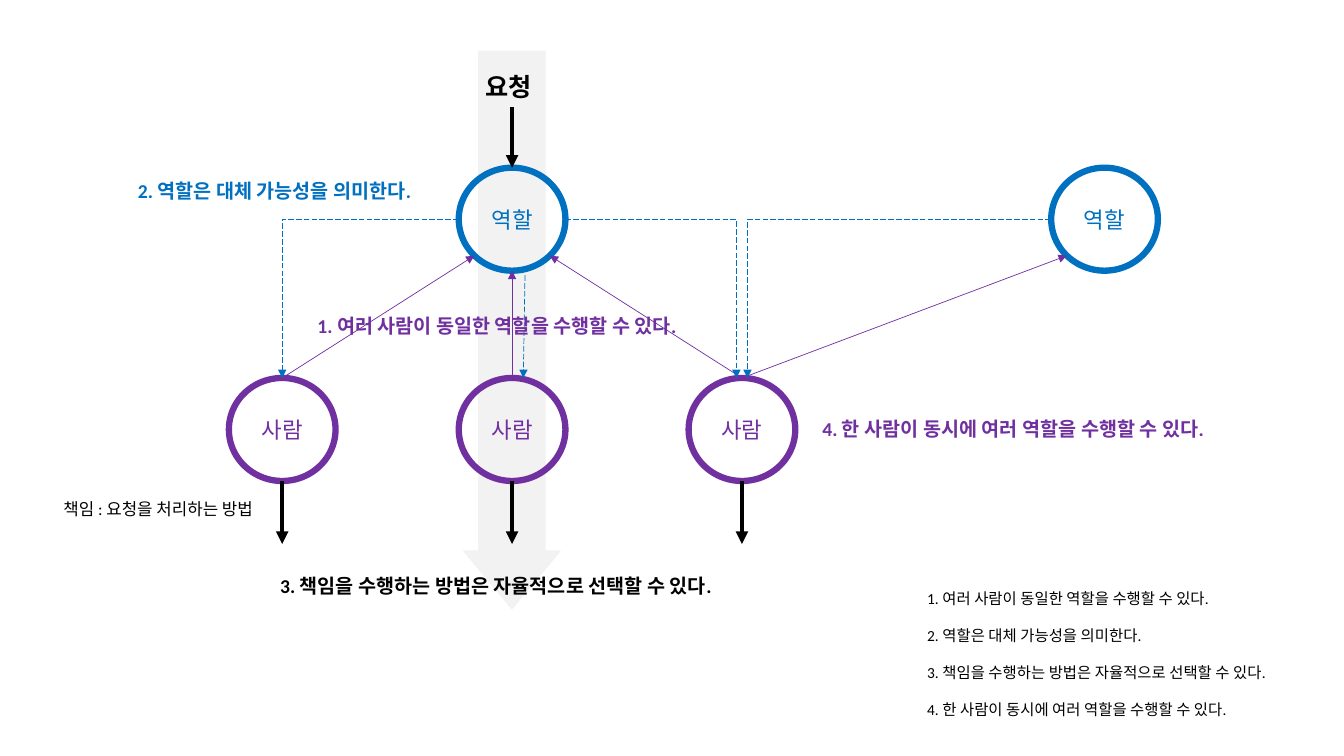
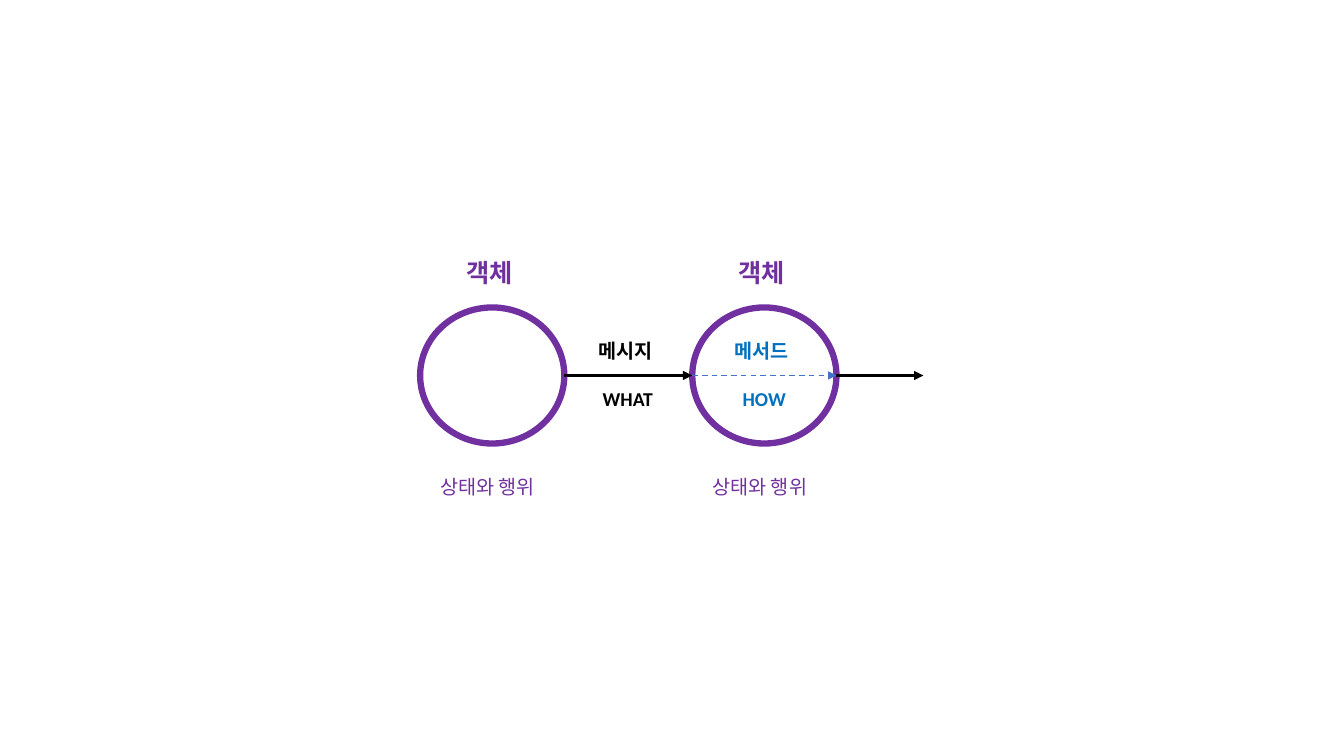
from math import sqrt

from pptx import Presentation
from pptx.dml.color import RGBColor
from pptx.enum.dml import MSO_LINE
from pptx.enum.shapes import MSO_CONNECTOR as CONNECTOR, MSO_SHAPE as SHAPE
from pptx.enum.text import MSO_ANCHOR, MSO_AUTO_SIZE, PP_ALIGN
from pptx.oxml.ns import qn
from pptx.util import Pt
from lxml import etree

BLUE, PURPLE, BLACK, GRAY, STEEL = "0070C0", "7030A0", "000000", "F2F2F2", "4472C4"
FONT = "Calibri"


def rgb(value):
    return RGBColor.from_string(value)


def add_arrow(slide, start, end, color, weight, dash=None, bent=False):
    kind = CONNECTOR.ELBOW if bent else CONNECTOR.STRAIGHT
    connector = slide.shapes.add_connector(kind, *[Pt(value) for value in (*start, *end)])
    connector.line.color.rgb = rgb(color)
    connector.line.width = Pt(weight)
    if dash:
        connector.line.dash_style = dash
    properties = connector._element.spPr
    if bent:  # a single corner: across, then down
        properties.find(qn("a:prstGeom")).set("prst", "bentConnector2")
    etree.SubElement(properties.find(qn("a:ln")), qn("a:tailEnd"), type="triangle")
    etree.SubElement(properties, qn("a:effectLst"))
    return connector


presentation = Presentation()
presentation.slide_width, presentation.slide_height = Pt(960), Pt(540)
blank = presentation.slide_layouts[6]
roles_slide = presentation.slides.add_slide(blank)
message_slide = presentation.slides.add_slide(blank)

# Request flow band
band = roles_slide.shapes.add_shape(SHAPE.DOWN_ARROW, Pt(331.4), Pt(36.7), Pt(68.6), Pt(398))
band.adjustments[0], band.adjustments[1] = 0.69, 0.6
band.fill.solid()
band.fill.fore_color.rgb = rgb(GRAY)
band.line.color.rgb = rgb(GRAY)
band.line.width = Pt(1)
band.shadow.inherit = False

# Circles: centre, size, label
WIDTH, HEIGHT = 76.2, 73.6
PERSON_X = [201.6 + 164.2 * column for column in range(3)]
ROLE_X = [PERSON_X[1], 789]
ROLE_Y, PERSON_Y = 156.6, 306.8
OBJECT_X, OBJECT_Y = [351.6, 546], 268.2
OBJECT_WIDTH, OBJECT_HEIGHT = 103, 97.2

circles = [(roles_slide, x, ROLE_Y, WIDTH, HEIGHT, BLUE, "역할") for x in ROLE_X]
circles += [(roles_slide, x, PERSON_Y, WIDTH, HEIGHT, PURPLE, "사람") for x in PERSON_X]
circles += [(message_slide, x, OBJECT_Y, OBJECT_WIDTH, OBJECT_HEIGHT, PURPLE, "") for x in OBJECT_X]
for slide, x, y, width, height, color, label in circles:
    circle = slide.shapes.add_shape(
        SHAPE.OVAL, Pt(x - width / 2), Pt(y - height / 2), Pt(width), Pt(height))
    circle.fill.background()
    circle.line.color.rgb = rgb(color)
    circle.line.width = Pt(4.5)
    circle.shadow.inherit = False
    if label:
        circle.text_frame.text = label
        circle.text_frame.vertical_anchor = MSO_ANCHOR.MIDDLE
        paragraph = circle.text_frame.paragraphs[0]
        paragraph.alignment = PP_ALIGN.CENTER
        paragraph.font.name, paragraph.font.size = FONT, Pt(16)
        paragraph.font.color.rgb = rgb(color)

# People take on roles
role_top, person_top = ROLE_Y - HEIGHT / 2, PERSON_Y - HEIGHT / 2
role_bottom, person_bottom = ROLE_Y + HEIGHT / 2, PERSON_Y + HEIGHT / 2
diagonal_x, diagonal_y = WIDTH / 2 / sqrt(2), HEIGHT / 2 / sqrt(2)
for person_x, role_x, side in [(PERSON_X[0], ROLE_X[0], -1), (PERSON_X[2], ROLE_X[0], 1),
                               (PERSON_X[2], ROLE_X[1], -1)]:
    add_arrow(roles_slide, (person_x, person_top),
              (role_x + side * diagonal_x, ROLE_Y + diagonal_y), PURPLE, 0.5)
add_arrow(roles_slide, (PERSON_X[1], person_top), (ROLE_X[0], role_bottom), PURPLE, 0.5)

# Roles can be filled by different people
for role_x, side, target_x in [(ROLE_X[0], -1, PERSON_X[0]), (ROLE_X[0], 1, PERSON_X[2] - 4),
                               (ROLE_X[1], -1, PERSON_X[2] + 4)]:
    add_arrow(roles_slide, (role_x + side * WIDTH / 2, ROLE_Y), (target_x, person_top),
              BLUE, 0.5, MSO_LINE.LONG_DASH, bent=True)
add_arrow(roles_slide, (375, 196.6), (373.8, person_top), BLUE, 0.5, MSO_LINE.LONG_DASH)

# Request in, responsibilities out
add_arrow(roles_slide, (ROLE_X[0], 76.3), (ROLE_X[0], role_top), BLACK, 3)
for x in PERSON_X:
    add_arrow(roles_slide, (x, person_bottom), (x, 388.6), BLACK, 3)

# Messages between objects
first_right = OBJECT_X[0] + OBJECT_WIDTH / 2
second_left, second_right = [OBJECT_X[1] + side * OBJECT_WIDTH / 2 for side in (-1, 1)]
for start_x, end_x, color, weight, dash in [
        (first_right, second_left, BLACK, 2.25, None),
        (second_right, 659.6, BLACK, 2.25, None),
        (second_left, second_right, STEEL, 1, MSO_LINE.DASH)]:
    add_arrow(message_slide, (start_x, OBJECT_Y), (end_x, OBJECT_Y), color, weight, dash)

# Texts: slide, left, top, width, height, size, colour, bold, line spacing, lines
statements = [
    "1. 여러 사람이 동일한 역할을 수행할 수 있다.",
    "2. 역할은 대체 가능성을 의미한다.",
    "3. 책임을 수행하는 방법은 자율적으로 선택할 수 있다.",
    "4. 한 사람이 동시에 여러 역할을 수행할 수 있다.",
]
texts = [
    (roles_slide, 219.6, 221, 291.6, 24.2, 14, PURPLE, True, 1, statements[:1]),
    (roles_slide, 91.4, 124.3, 225.4, 24.2, 14, BLUE, True, 1, statements[1:2]),
    (roles_slide, 193, 406.1, 344.9, 24.2, 14, BLACK, True, 1, statements[2:3]),
    (roles_slide, 580.3, 294.5, 308.9, 24.2, 14, PURPLE, True, 1, statements[3:]),
    (roles_slide, 655.2, 404, 274.3, 110.2, 11, BLACK, False, 2, statements),
    (roles_slide, 339.8, 47.5, 51.1, 29, 18, BLACK, True, 1, ["요청"]),
    (roles_slide, 38.2, 352.8, 162, 21.8, 12, BLACK, False, 1, ["책임 : 요청을 처리하는 방법"]),
    (message_slide, 420.5, 238.3, 56.9, 24.2, 14, BLACK, True, 1, ["메시지"]),
    (message_slide, 517.7, 238.3, 56.9, 24.2, 14, BLUE, True, 1, ["메서드"]),
    (message_slide, 423.4, 272.9, 51.1, 24.2, 14, BLACK, True, 1, ["WHAT"]),
    (message_slide, 523.4, 272.9, 46.1, 24.2, 14, BLUE, True, 1, ["HOW"]),
]
for x in OBJECT_X:
    texts += [
        (message_slide, x - 25.5, 180, 51, 29, 18, PURPLE, True, 1, ["객체"]),
        (message_slide, x - 44.2, 335.5, 88.5, 24.2, 14, PURPLE, False, 1, ["상태와 행위"]),
    ]
for slide, left, top, width, height, size, color, bold, spacing, lines in texts:
    text_box = slide.shapes.add_textbox(Pt(left), Pt(top), Pt(width), Pt(height))
    frame = text_box.text_frame
    frame.text = "\n".join(lines)
    frame.word_wrap = False
    frame.auto_size = MSO_AUTO_SIZE.SHAPE_TO_FIT_TEXT
    for paragraph in frame.paragraphs:
        paragraph.line_spacing = spacing
        paragraph.font.name, paragraph.font.size = FONT, Pt(size)
        paragraph.font.bold = bold
        paragraph.font.color.rgb = rgb(color)

presentation.save("out.pptx")
